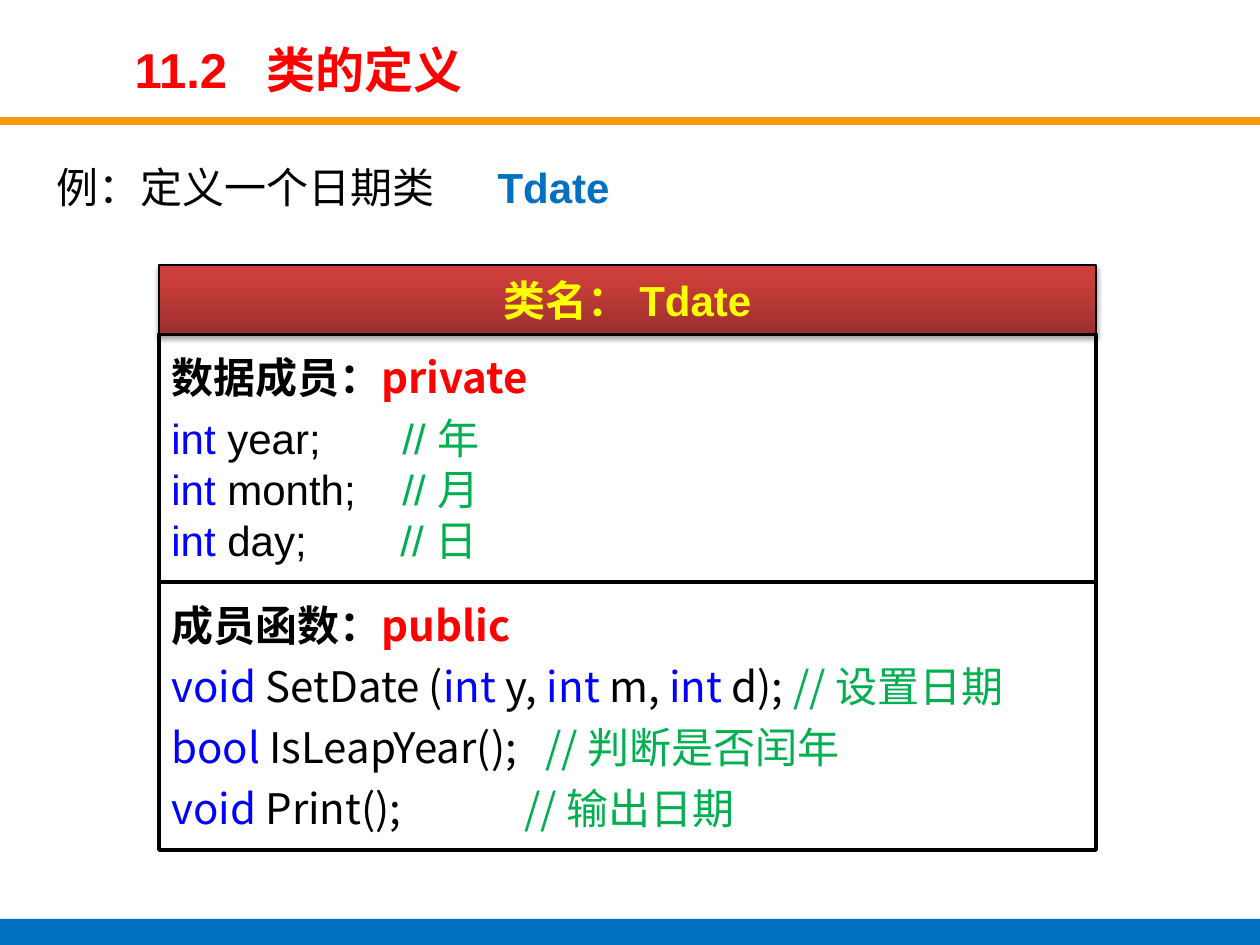
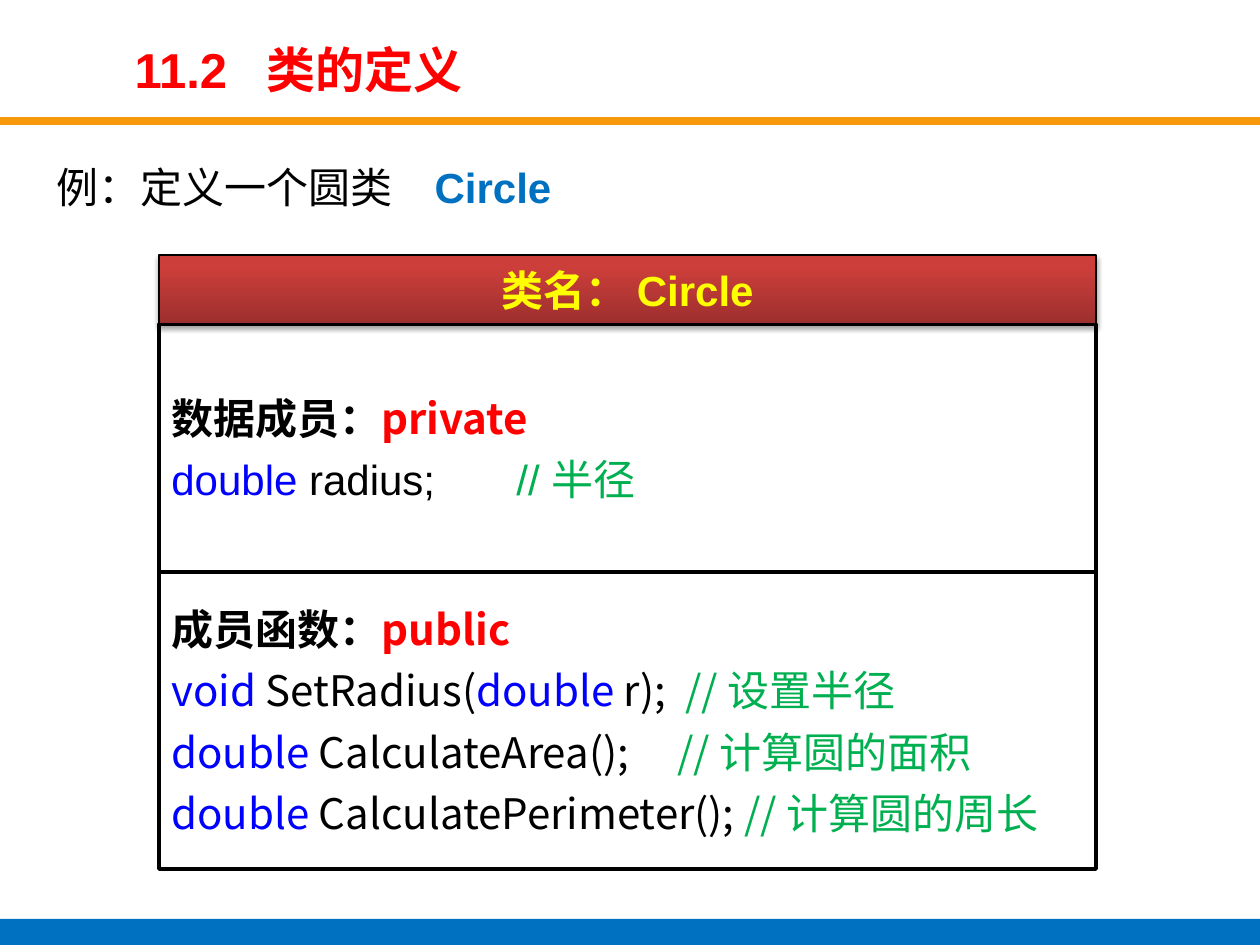
"""Builds two slides that each define a class as a three-part class box."""
from itertools import cycle

from lxml import etree
from pptx import Presentation
from pptx import util as u
from pptx.dml.color import RGBColor
from pptx.enum import shapes, text
from pptx.oxml.ns import qn

PX = u.Inches(1) / 126
BLACK = RGBColor(0x00, 0x00, 0x00)
RED = RGBColor(0xFF, 0x00, 0x00)
YELLOW = RGBColor(0xFF, 0xFF, 0x00)
ORANGE = RGBColor(0xF7, 0x99, 0x0A)
BLUE = RGBColor(0x00, 0x70, 0xC0)
KEYWORD = RGBColor(0x00, 0x00, 0xFF)
COMMENT = RGBColor(0x00, 0xB0, 0x50)
DARK_RED = RGBColor(0x9C, 0x2F, 0x2D)
LIGHT_RED = RGBColor(0xCB, 0x3E, 0x3A)

LATIN, CJK = "Arial", "Noto Sans CJK SC"
BOX_LEFT, BOX_WIDTH = 159, 937
HEAD_HEIGHT, DATA_HEIGHT = 69, 248

CLASSES = [
    dict(
        name="Tdate", intro="例：定义一个日期类", intro_tab=407,
        top=265, functions_height=268,
        data=[
            (["int", " year;"], 231, "// 年"),
            (["int", " month;"], 231, "// 月"),
            (["int", " day;"], 229, "// 日"),
        ],
        functions=[
            (["void ", "SetDate (", "int", " y, ", "int ", "m, ", "int", " d); "],
             None, "// 设置日期"),
            (["bool ", "IsLeapYear();"], 374, "// 判断是否闰年"),
            (["void", " Print();"], 353, "// 输出日期"),
        ],
    ),
    dict(
        name="Circle", intro="例：定义一个圆类", intro_tab=365,
        top=255, functions_height=297,
        data=[(["double", " radius;"], 345, "// 半径")],
        functions=[
            (["void ", "SetRadius(", "double ", "r);"], 514, "// 设置半径"),
            (["double ", "CalculateArea();"], 506, "// 计算圆的面积"),
            (["double ", "CalculatePerimeter(); "], None, "// 计算圆的周长"),
        ],
    ),
]


def px(length):
    """Turn pixels into EMU."""
    return u.Emu(round(length * PX))


def place(sp, left, top, width, height):
    """Move and size a shape given in pixels."""
    sp.left, sp.top, sp.width, sp.height = map(px, (left, top, width, height))


def add_run(p, words, color, size=24, bold=False, font=LATIN):
    """Append one formatted run to a paragraph."""
    r = p.add_run()
    r.text = words
    r.font.size, r.font.bold, r.font.name = u.Pt(size), bold, font
    r.font.color.rgb = color
    latin = r.font._element.find(qn("a:latin"))
    ea = etree.Element(qn("a:ea"), typeface=CJK)
    latin.addnext(ea)


def set_tab(p, position):
    """Give a paragraph one left tab stop."""
    tabs = etree.SubElement(p._p.get_or_add_pPr(), qn("a:tabLst"))
    etree.SubElement(tabs, qn("a:tab"), pos=str(px(position)), algn="l")


def add_rect(slide, left, top, width, height):
    """Add a rectangle without a shadow."""
    sp = slide.shapes.add_shape(
        shapes.MSO_SHAPE.RECTANGLE, *map(px, (left, top, width, height)))
    sp.shadow.inherit = False
    return sp


def move_bands_to_layout(slide, layout):
    """Draw the orange rule and the blue footer band on the shared layout."""
    for top, height, color in ((117, 8, ORANGE), (919, 26, BLUE)):
        sp = add_rect(slide, 0, top, 1260, height)
        sp.fill.solid()
        sp.fill.fore_color.rgb = color
        sp.line.fill.background()
        layout.shapes.element.append(sp._element)


def fill_title(slide):
    """Write the section title."""
    tf = slide.shapes.title.text_frame
    tf.auto_size = text.MSO_AUTO_SIZE.NONE
    tf.vertical_anchor = text.MSO_ANCHOR.MIDDLE
    p = tf.paragraphs[0]
    p.alignment = text.PP_ALIGN.LEFT
    set_tab(p, 132)
    add_run(p, "11.2\t类的定义", RED, 28, True)


def fill_intro(slide, intro, name, tab):
    """Write the example sentence in the body placeholder."""
    tf = slide.placeholders[1].text_frame
    tf.auto_size = text.MSO_AUTO_SIZE.NONE
    p = tf.paragraphs[0]
    p.alignment = text.PP_ALIGN.JUSTIFY
    p.line_spacing = u.Pt(35)
    pPr = p._p.get_or_add_pPr()
    pPr.set("marL", "0")
    pPr.set("indent", "0")
    etree.SubElement(pPr, qn("a:buNone"))
    set_tab(p, tab)
    add_run(p, intro + "\t", BLACK)
    add_run(p, name, BLUE, bold=True)


def add_class_head(slide, name, top):
    """Add the shaded bar with the class name."""
    sp = add_rect(slide, BOX_LEFT, top, BOX_WIDTH, HEAD_HEIGHT)
    sp.fill.gradient()
    sp.fill.gradient_angle = 90
    stops = zip(sp.fill.gradient_stops, ((0, DARK_RED), (0.8, LIGHT_RED)))
    for stop, (position, color) in stops:
        stop.position, stop.color.rgb = position, color
    sp.line.color.rgb, sp.line.width = BLACK, u.Pt(1.5)
    effects = sp._element.spPr.find(qn("a:effectLst"))
    shadow = etree.SubElement(
        effects, qn("a:outerShdw"), blurRad=str(u.Pt(3.1)),
        dist=str(u.Pt(1.8)), dir="5400000", rotWithShape="0")
    color = etree.SubElement(shadow, qn("a:srgbClr"), val=str(BLACK))
    etree.SubElement(color, qn("a:alpha"), val="35000")
    tf = sp.text_frame
    tf.vertical_anchor = text.MSO_ANCHOR.MIDDLE
    p = tf.paragraphs[0]
    p.alignment = text.PP_ALIGN.CENTER
    add_run(p, f"类名： {name}", YELLOW, bold=True)


def format_line(p, space_after):
    """Set the spacing of one line in a member box."""
    p.alignment = text.PP_ALIGN.LEFT
    p.line_spacing, p.space_after = u.Pt(29), u.Pt(space_after)


def add_members(slide, top, height, label, access, lines, font, space_after):
    """Add a box with a heading and its lines of code."""
    sp = add_rect(slide, BOX_LEFT, top, BOX_WIDTH, height)
    sp.fill.background()
    sp.line.color.rgb, sp.line.width = BLACK, u.Pt(2)
    tf = sp.text_frame
    tf.word_wrap = True
    tf.vertical_anchor = text.MSO_ANCHOR.MIDDLE
    p = tf.paragraphs[0]
    format_line(p, 6)
    add_run(p, label, BLACK, bold=True, font=CJK)
    add_run(p, access, RED, bold=True, font=CJK)
    for code, tab, comment in lines:
        p = tf.add_paragraph()
        format_line(p, space_after)
        for piece, color in zip(code, cycle((KEYWORD, BLACK))):
            add_run(p, piece, color, font=font)
        if tab:
            set_tab(p, tab)
            comment = "\t" + comment
        add_run(p, comment, COMMENT, font=font)


def add_class_box(slide, top, name, data, functions, functions_height):
    """Stack the name, the data members and the member functions."""
    data_top = top + HEAD_HEIGHT
    add_members(slide, data_top, DATA_HEIGHT,
                "数据成员：", "private", data, LATIN, 0)
    add_members(slide, data_top + DATA_HEIGHT, functions_height,
                "成员函数：", "public", functions, CJK, 6)
    add_class_head(slide, name, top)


def main():
    """Build and save the presentation."""
    prs = Presentation()
    prs.slide_width, prs.slide_height = px(1260), px(945)
    layout = prs.slide_layouts[1]
    place(layout.placeholders[0], 122, 34, 864, 69)
    place(layout.placeholders[1], 44, 144, 1171, 755)
    for number, item in enumerate(CLASSES):
        slide = prs.slides.add_slide(layout)
        if number == 0:
            move_bands_to_layout(slide, layout)
        fill_title(slide)
        fill_intro(slide, item["intro"], item["name"], item["intro_tab"])
        add_class_box(slide, item["top"], item["name"], item["data"],
                      item["functions"], item["functions_height"])
    prs.save("out.pptx")


if __name__ == "__main__":
    main()
